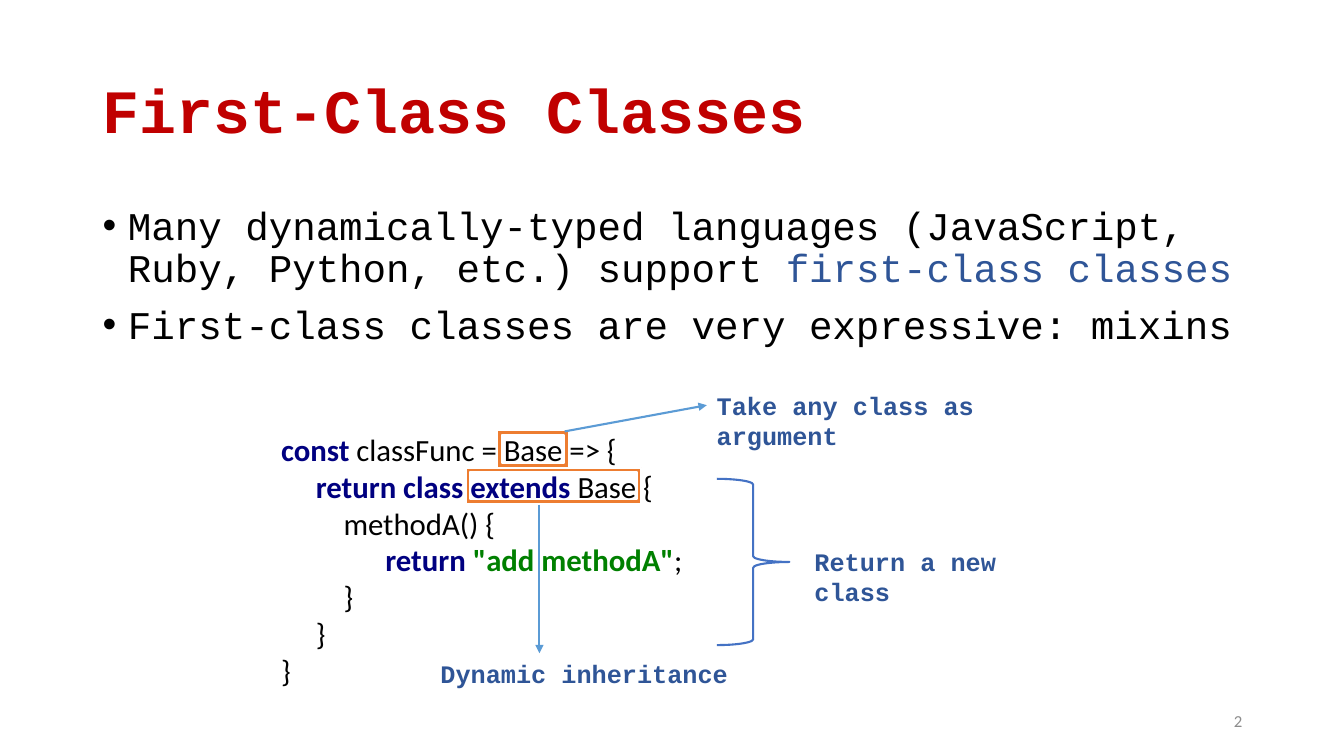
"""Build the First-Class Classes slide."""
from lxml import etree
from pptx import Presentation
from pptx.dml.color import RGBColor
from pptx.enum.shapes import MSO_CONNECTOR as Connector, MSO_SHAPE as Preset
from pptx.enum.text import MSO_ANCHOR as Anchor, PP_ALIGN as Align
from pptx.oxml.ns import qn
from pptx.util import Inches, Pt

COLORS = {
    "title": "C00000", "text": "000000", "accent": "2F5597", "number": "8C8C8C",
    "keyword": "000080", "string": "008000", "frame": "ED7D31", "edge": "FFFFFF",
    "brace": "4472C4", "arrow": "5B9BD5",
}
MONO, SANS = "Courier New", "Calibri"
TITLE = [[("First-Class Classes", "title")]]
BULLETS = [
    [("Many dynamically-typed languages (JavaScript, Ruby, Python, etc.) support ", "text"),
     ("first-class classes", "accent")],
    [("First-class classes are very expressive: mixins", "text")],
]
CODE = [
    [("const", "keyword"), (" classFunc = Base => {", "text")],
    [("     ", "text"), ("return class extends ", "keyword"), ("Base {", "text")],
    [("         methodA() {", "text")],
    [("               ", "text"), ("return ", "keyword"), ('"add methodA"', "string"), (";", "text")],
    [("         }", "text")],
    [("     }", "text")],
    [("}", "text")],
]
LABELS = {
    "Take any class as argument": (7.01, 3.82, 3.99, 0.4),
    "Return a new class": (7.98, 5.37, 2.77, 0.4),
    "Dynamic inheritance": (4.27, 6.48, 3.86, 0.4),
}
FRAMES = [(4.62, 4.64, 1.74, 0.36), (4.93, 4.27, 0.71, 0.37)]
BRACE = (7.11, 4.75, 0.72, 1.65)
ARGUMENT_ARROW = (5.6, 4.28, 7.01, 4.02)
INHERITANCE_ARROW = (5.35, 5.01, 5.35, 6.48)
BOLD_COLORS = {"title", "keyword", "string"}


def inches(values):
    return [Inches(value) for value in values]


def rgb(name):
    return RGBColor.from_string(COLORS[name])


def add_text(slide, box, lines, font, size, bold=False, bullet=False, frame_format=None, paragraph_format=None):
    shape = slide.shapes.add_textbox(*inches(box))
    frame = shape.text_frame
    for name, value in {"word_wrap": True, **(frame_format or {})}.items():
        setattr(frame, name, value)
    for index, line in enumerate(lines):
        paragraph = frame.add_paragraph() if index else frame.paragraphs[0]
        for name, value in (paragraph_format or {}).items():
            if index or name != "space_before":
                setattr(paragraph, name, value)
        if bullet:
            properties = paragraph._p.get_or_add_pPr()
            properties.set("marL", str(Inches(0.25)))
            properties.set("indent", str(Inches(-0.25)))
            etree.SubElement(properties, qn("a:buFont")).set("typeface", "Arial")
            etree.SubElement(properties, qn("a:buChar")).set("char", "•")
        for text, color in line:
            run = paragraph.add_run()
            run.text = text
            values = {"name": font, "size": Pt(size), "bold": bold or color in BOLD_COLORS}
            for name, value in values.items():
                setattr(run.font, name, value)
            run.font.color.rgb = rgb(color)
    return shape


def add_outline(slide, preset, box, line, fill=None):
    shape = slide.shapes.add_shape(preset, *inches(box))
    shape.shadow.inherit = False
    if fill:
        shape.fill.solid()
        shape.fill.fore_color.rgb = rgb(fill)
    else:
        shape.fill.background()
    shape.line.color.rgb = rgb(line)
    shape.line.width = Pt(1.5)
    return shape


def add_arrow(slide, ends):
    arrow = slide.shapes.add_connector(Connector.STRAIGHT, *inches(ends))
    arrow.line.color.rgb = rgb("arrow")
    arrow.line.width = Pt(1.5)
    etree.SubElement(arrow.line._get_or_add_ln(), qn("a:tailEnd")).set("type", "triangle")
    etree.SubElement(arrow._element.spPr, qn("a:effectLst"))
    return arrow


def main():
    presentation = Presentation()
    presentation.slide_width, presentation.slide_height = inches((13.33, 7.5))
    slide = presentation.slides.add_slide(presentation.slide_layouts[6])
    for box in FRAMES:
        add_outline(slide, Preset.FRAME, box, "edge", "frame")
    middle = {"vertical_anchor": Anchor.MIDDLE}
    add_text(slide, (0.92, 0.4, 11.5, 1.45), TITLE, MONO, 44,
             frame_format=middle, paragraph_format={"line_spacing": 0.9})
    add_text(slide, (0.92, 2, 11.5, 4.76), BULLETS, MONO, 28, bullet=True,
             paragraph_format={"line_spacing": 0.9, "space_before": Pt(10)})
    add_text(slide, (9.42, 6.95, 3, 0.4), [[("2", "number")]], SANS, 12,
             frame_format=middle, paragraph_format={"alignment": Align.RIGHT})
    add_text(slide, (2.69, 4.22, 6.67, 2.69), CODE, SANS, 22)
    brace = add_outline(slide, Preset.RIGHT_BRACE, BRACE, "brace")
    brace.adjustments[0], brace.adjustments[1] = 0.08, 0.5
    labels = {
        text: add_text(slide, box, [[(text, "accent")]], MONO, 18, bold=True)
        for text, box in LABELS.items()
    }
    argument_arrow = add_arrow(slide, ARGUMENT_ARROW)
    argument_arrow.end_connect(labels["Take any class as argument"], 1)
    add_arrow(slide, INHERITANCE_ARROW)
    presentation.save("out.pptx")


if __name__ == "__main__":
    main()
